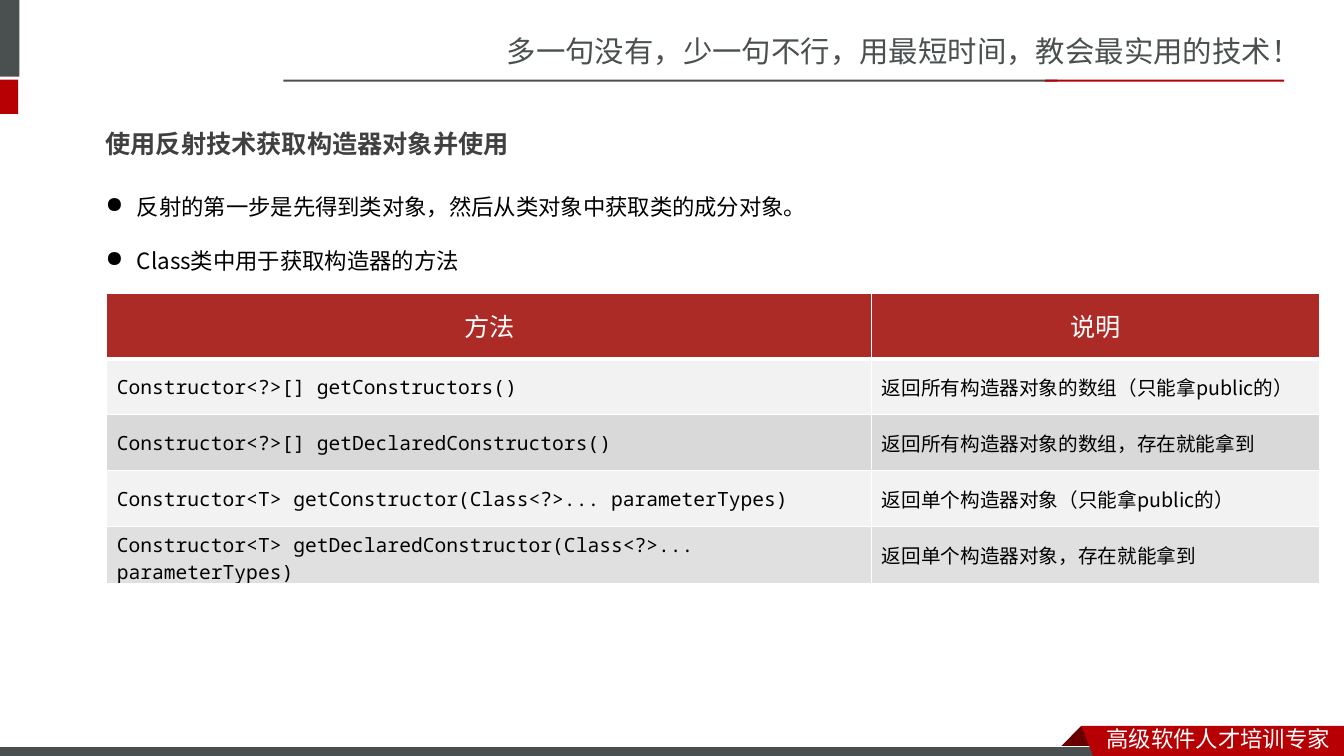
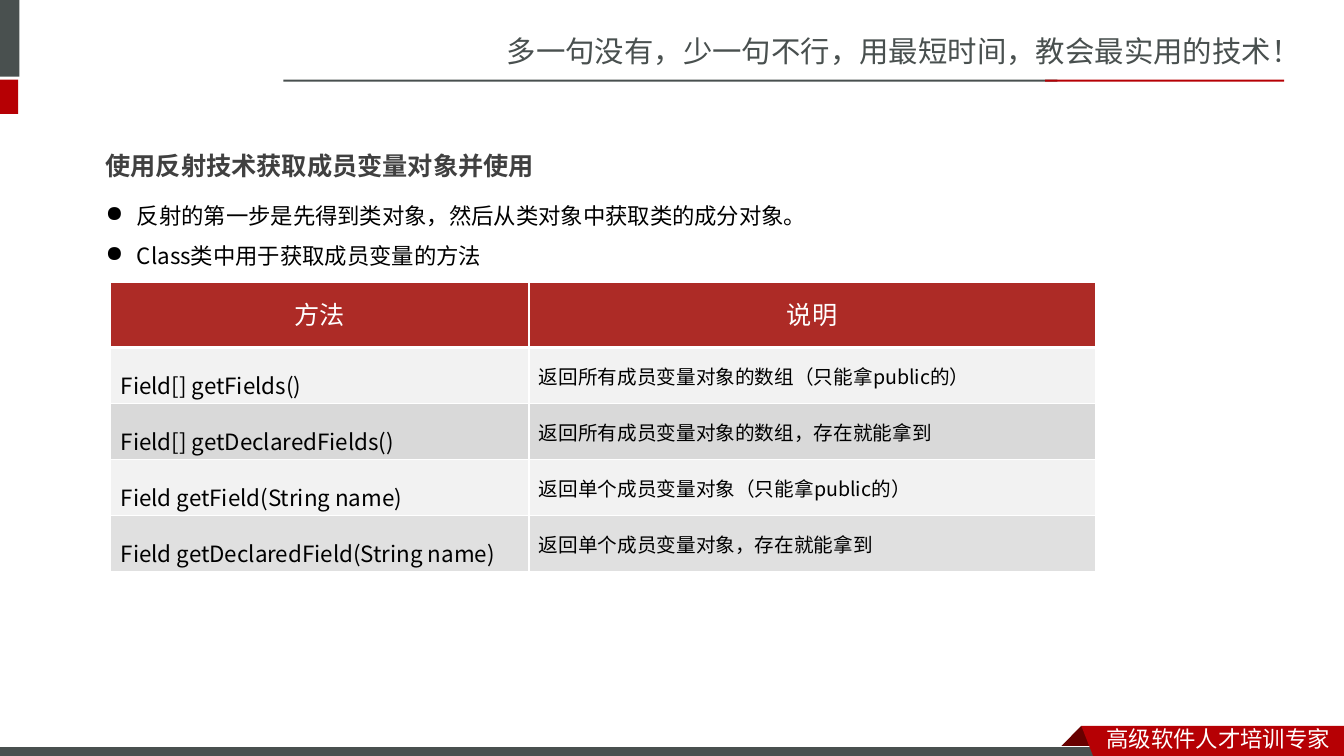
"""Build two slides on using Java reflection to get constructors and fields."""
from dataclasses import dataclass

from lxml.etree import SubElement
from pptx import Presentation
from pptx.dml.color import RGBColor as Rgb
from pptx.enum.shapes import MSO_SHAPE as Shape
from pptx.enum.text import MSO_ANCHOR as Anchor, MSO_AUTO_SIZE as AutoSize, PP_ALIGN as Align
from pptx.oxml import parse_xml
from pptx.oxml.ns import nsdecls, qn
from pptx.util import Cm, Pt


@dataclass(frozen=True)
class Theme:
    slate: str = "49504F"
    red: str = "B60004"
    dark_red: str = "680000"
    header: str = "AD2B26"
    heading: str = "404040"
    light: str = "F2F2F2"
    gray: str = "D9D9D9"
    white: str = "FFFFFF"
    black: str = "000000"
    sans: str = "Noto Sans CJK SC"
    sans_jp: str = "Noto Sans CJK JP"
    mono: str = "Noto Sans Mono"
    latin: str = "Calibri"
    banner_size: int = 21
    heading_size: int = 18
    body_size: int = 16
    cell_size: int = 14


def style_text(paragraph, size, color, face, bold=False):
    font = paragraph.font
    font.size, font.name, font.bold = Pt(size), face, bold
    font.color.rgb = Rgb.from_string(color)
    SubElement(paragraph._p.pPr.find(qn("a:defRPr")), qn("a:ea"), typeface=face)


def add_text(slide, box, lines, size, color, face, spacing=None, bold=False, bullet=None):
    frame = slide.shapes.add_textbox(*map(Cm, box)).text_frame
    frame.word_wrap = True
    frame.auto_size = AutoSize.SHAPE_TO_FIT_TEXT
    frame.text = "\n".join(lines)
    for paragraph in frame.paragraphs:
        if bullet:
            properties = paragraph._p.get_or_add_pPr()
            properties.set("marL", str(Cm(0.79)))
            properties.set("indent", str(-Cm(0.79)))
            SubElement(properties, qn("a:buChar"), char=bullet)
        if spacing:
            paragraph.line_spacing = spacing
        style_text(paragraph, size, color, face, bold)


theme = Theme()
bands = [
    ((-0.15, 0, 0.64, 1.93), theme.slate),
    ((-0.15, 2.01, 0.61, 0.86), theme.red),
    ((7.14, 2.01, 19.51, 0.05), theme.slate),
    ((26.34, 2.01, 6.02, 0.05), theme.red),
    ((-0.03, 18.82, 27.94, 0.3), theme.slate),
]
ribbon_fold = [(27.25, 18.29), (27.81, 18.85), (27.79, 18.87), (26.72, 18.87), (26.7, 18.85)]
ribbon = [(27.25, 18.29), (33.87, 18.29), (33.87, 19.15), (27.58, 19.13)]
row_fills = [theme.header, theme.light, theme.gray, theme.light, theme.gray]
table_header = ("方法", "说明")
first_point = "反射的第一步是先得到类对象，然后从类对象中获取类的成分对象。"

pages = [
    {
        "heading": "使用反射技术获取构造器对象并使用",
        "heading_box": (2.41, 2.34, 15.39, 1.6),
        "point": "Class类中用于获取构造器的方法",
        "points_box": (2.41, 4.06, 27.74, 2.82),
        "points_face": theme.sans_jp,
        "spacing": 2.0,
        "table_at": (2.69, 7.39),
        "columns": (19.28, 11.28),
        "method_style": (theme.cell_size, theme.black, theme.mono),
        "method_spacing": None,
        "rows": [
            ("Constructor<?>[] getConstructors()", "返回所有构造器对象的数组（只能拿public的）"),
            ("Constructor<?>[] getDeclaredConstructors()", "返回所有构造器对象的数组，存在就能拿到"),
            ("Constructor<T> getConstructor(Class<?>... parameterTypes)",
             "返回单个构造器对象（只能拿public的）"),
            ("Constructor<T> getDeclaredConstructor(Class<?>... parameterTypes)",
             "返回单个构造器对象，存在就能拿到"),
        ],
    },
    {
        "heading": "使用反射技术获取成员变量对象并使用",
        "heading_box": (2.41, 3.28, 15.39, 1.3),
        "point": "Class类中用于获取成员变量的方法",
        "points_box": (2.41, 4.62, 27.74, 2.18),
        "points_face": theme.sans,
        "spacing": 1.5,
        "table_at": (2.79, 7.11),
        "columns": (10.54, 14.27),
        "method_style": (theme.body_size, theme.black, theme.sans),
        "method_spacing": 1.5,
        "rows": [
            ("Field[] getFields()", "返回所有成员变量对象的数组（只能拿public的）"),
            ("Field[] getDeclaredFields()", "返回所有成员变量对象的数组，存在就能拿到"),
            ("Field getField(String name)", "返回单个成员变量对象（只能拿public的）"),
            ("Field getDeclaredField(String name)", "返回单个成员变量对象，存在就能拿到"),
        ],
    },
]

presentation = Presentation()
presentation.slide_width, presentation.slide_height = Cm(33.87), Cm(19.05)

for page in pages:
    slide = presentation.slides.add_slide(presentation.slide_layouts[6])

    add_text(slide, (12.52, 0.71, 21.36, 1.19),
             ["多一句没有，少一句不行，用最短时间，教会最实用的技术！"],
             theme.banner_size, theme.slate, theme.sans)

    decorations = []
    for outline, color in ((ribbon_fold, theme.dark_red), (ribbon, theme.red)):
        points = [(Cm(x), Cm(y)) for x, y in outline]
        builder = slide.shapes.build_freeform(*points[0])
        builder.add_line_segments(points[1:])
        decorations.append((builder.convert_to_shape(), color))
        if outline is ribbon_fold:
            for box, band_color in bands:
                band = slide.shapes.add_shape(Shape.RECTANGLE, *map(Cm, box))
                decorations.append((band, band_color))
            footer_bar = band
    for shape, color in decorations:
        shape.shadow.inherit = False
        shape.fill.solid()
        shape.fill.fore_color.rgb = Rgb.from_string(color)
        shape.line.fill.background()
    footer_bar.line.color.rgb = Rgb.from_string(theme.white)
    footer_bar.line.width = Pt(0.75)

    add_text(slide, (27.64, 18.16, 6.22, 0.94), ["高级软件人才培训专家"],
             theme.body_size, theme.white, theme.sans)
    add_text(slide, page["points_box"], [first_point, page["point"]], theme.body_size,
             theme.black, page["points_face"], page["spacing"], bullet="●")

    rows = [table_header, *page["rows"]]
    table = slide.shapes.add_table(
        len(rows), 2, *map(Cm, page["table_at"]), Cm(sum(page["columns"])), Cm(7.29)).table
    table.first_row = table.horz_banding = False
    for column, width in zip(table.columns, page["columns"]):
        column.width = Cm(width)
    for row_index, texts in enumerate(rows):
        table.rows[row_index].height = Cm(1.41 if row_index else 1.65)
        for column_index, text in enumerate(texts):
            cell = table.cell(row_index, column_index)
            cell.text = text
            cell.vertical_anchor = Anchor.MIDDLE
            cell.fill.solid()
            cell.fill.fore_color.rgb = Rgb.from_string(row_fills[row_index])
            properties = cell._tc.tcPr
            if row_index == len(rows) - 1:
                SubElement(properties.find(".//" + qn("a:srgbClr")), qn("a:alpha"), val="80000")
            thick_side = {0: "lnB", 1: "lnT"}.get(row_index)
            for position, side in enumerate(("lnL", "lnR", "lnT", "lnB")):
                width = Pt(3 if side == thick_side else 1)
                properties.insert(position, parse_xml(
                    f'<a:{side} {nsdecls("a")} w="{width}"><a:solidFill>'
                    f'<a:srgbClr val="{theme.white}"/></a:solidFill></a:{side}>'))

            paragraph = cell.text_frame.paragraphs[0]
            if row_index == 0:
                paragraph.alignment = Align.CENTER
                paragraph.line_spacing = Pt(24)
                style_text(paragraph, theme.heading_size, theme.white, theme.latin)
            elif column_index == 0:
                if page["method_spacing"]:
                    paragraph.line_spacing = page["method_spacing"]
                    paragraph.space_before = Pt(3.2)
                style_text(paragraph, *page["method_style"])
            else:
                style_text(paragraph, theme.cell_size, theme.black, theme.sans)

    add_text(slide, page["heading_box"], [page["heading"]], theme.heading_size,
             theme.heading, theme.sans_jp, page["spacing"], bold=True)

presentation.save("out.pptx")
